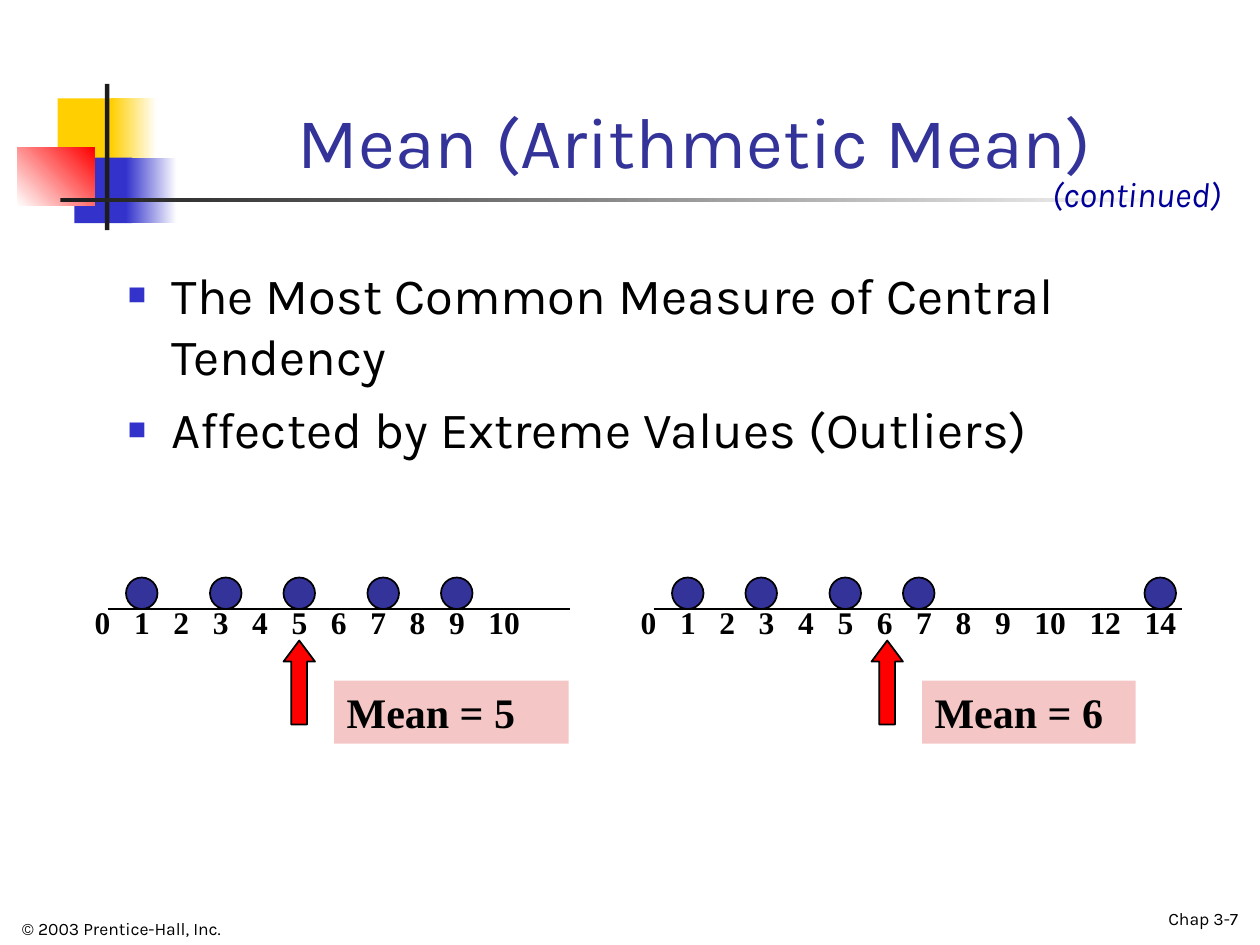
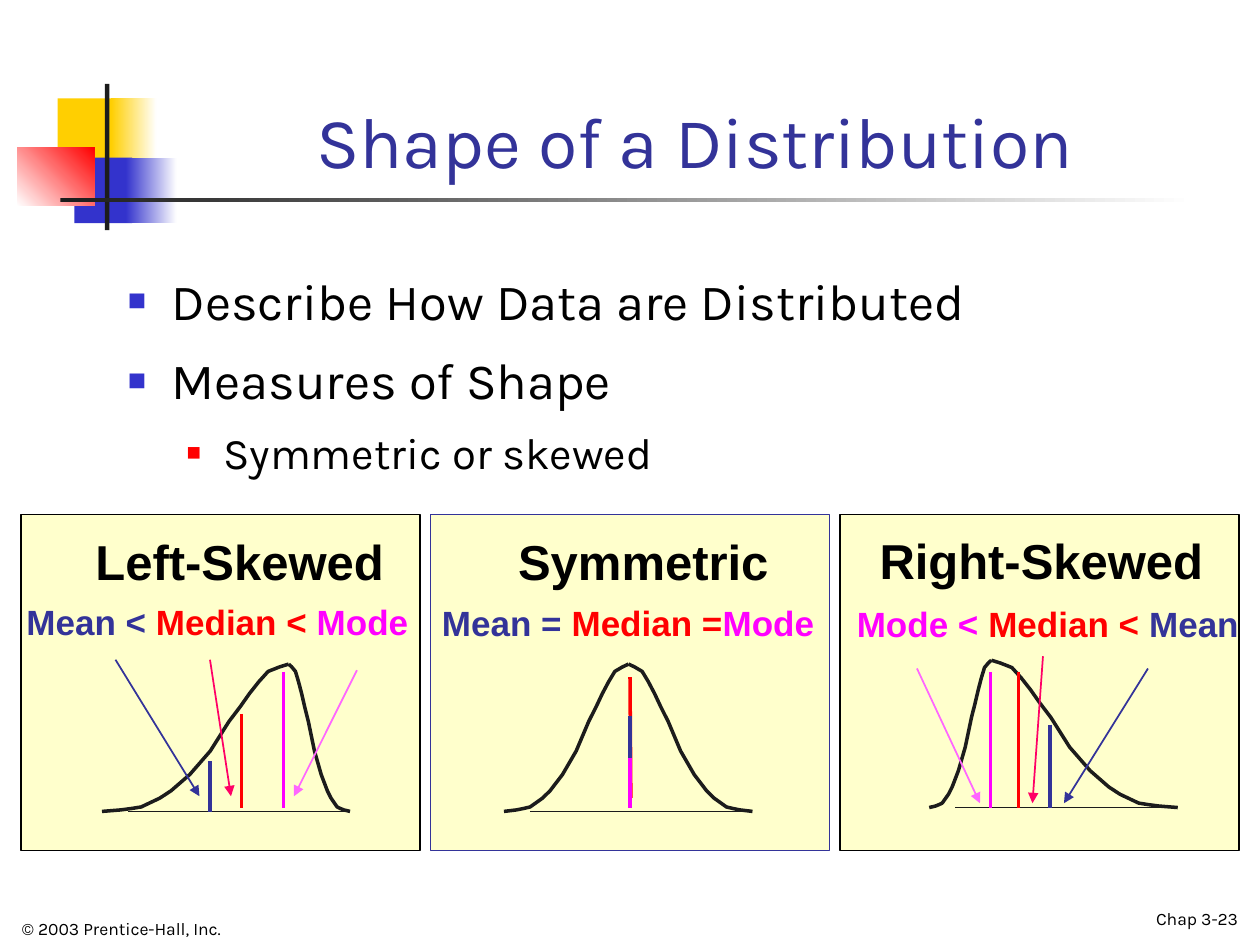
from lxml.etree import SubElement
from pptx import Presentation
from pptx.dml.color import RGBColor
from pptx.enum.shapes import MSO_CONNECTOR, MSO_SHAPE
from pptx.enum.text import MSO_ANCHOR, PP_ALIGN
from pptx.oxml.ns import qn
from pptx.util import Pt

BLACK = RGBColor(0x00, 0x00, 0x00)
WHITE = RGBColor(0xFF, 0xFF, 0xFF)
INK = RGBColor(0x1C, 0x1C, 0x1C)
GOLD = RGBColor(0xFF, 0xCF, 0x01)
BLUE = RGBColor(0x33, 0x33, 0xCC)
NAVY = RGBColor(0x33, 0x33, 0x99)
DEEP = RGBColor(0x00, 0x00, 0x99)
RED = RGBColor(0xFF, 0x00, 0x00)
ROSE = RGBColor(0xFF, 0x00, 0x66)
PINK = RGBColor(0xFF, 0x66, 0xFF)
MAGENTA = RGBColor(0xFF, 0x00, 0xFF)
BLUSH = RGBColor(0xF4, 0xC7, 0xC6)
CREAM = RGBColor(0xFF, 0xFF, 0xCC)

SANS, SERIF, HEAD = "Karla", "Times New Roman", "Arial"
RECT = MSO_SHAPE.RECTANGLE
HALF = [(0, 0), (.1, .01), (.16, .02), (.21, .03), (.26, .06), (.31, .09),
        (.37, .14), (.47, .25), (.58, .41), (.68, .61), (.74, .71),
        (.79, .8), (.84, .88), (.89, .95), (.95, .98), (1, 1)]
RISE = 84.2


class Deck:
    """Holds the shared style and the current slide."""

    def __init__(self):
        self.deck = Presentation()
        self.deck.slide_width, self.deck.slide_height = Pt(720), Pt(540)

    def start(self, title, page):
        self.slide = self.deck.slides.add_slide(self.deck.slide_layouts[6])
        self.shapes = self.slide.shapes
        self.shape(RECT, 33, 56.2, 34.5, 37.5, GOLD)
        self.fade(63.5, 56.2, 26, 37.5, GOLD, WHITE)
        self.shape(RECT, 42.5, 90, 33, 37.5, BLUE)
        self.fade(72, 90, 29, 37.5, BLUE, WHITE)
        self.fade(10, 84.2, 44, 33.5, WHITE, RED, 45)
        self.shape(RECT, 60, 48, 2.5, 83.5, INK)
        self.fade(34.5, 113, 648, 2.5, INK, WHITE)
        low = MSO_ANCHOR.BOTTOM
        self.text(5.5, 504, 288, 36, "© 2003 Prentice-Hall, Inc.", 10,
                  anchor=low)
        self.text(564.5, 498, 150, 36.5, page, 10,
                  anchor=low, align=PP_ALIGN.RIGHT)
        self.text(90.5, 18, 613.5, 90, title, 41, color=NAVY,
                  anchor=low, align=PP_ALIGN.CENTER)

    def shape(self, kind, x, y, w, h, fill, line=None, width=1):
        shape = self.shapes.add_shape(kind, Pt(x), Pt(y), Pt(w), Pt(h))
        shape.shadow.inherit = False
        shape.fill.solid()
        shape.fill.fore_color.rgb = fill
        if line is None:
            shape.line.fill.background()
        else:
            shape.line.color.rgb = line
            shape.line.width = Pt(width)
        return shape

    def fade(self, x, y, w, h, first, last, angle=0):
        fill = self.shape(RECT, x, y, w, h, first).fill
        fill.gradient()
        fill.gradient_angle = angle
        for stop, color in zip(fill.gradient_stops, (first, last)):
            stop.color.rgb = color

    def style(self, para, size, face, color=None, bold=False, slant=False):
        font = para.font
        font.size, font.name = Pt(size), face
        font.bold, font.italic = bold, slant
        if color is not None:
            font.color.rgb = color

    def text(self, x, y, w, h, text, size, face=SANS, color=BLACK, bold=False,
             slant=False, align=PP_ALIGN.LEFT, anchor=MSO_ANCHOR.TOP, tabs=()):
        box = self.shapes.add_textbox(Pt(x), Pt(y), Pt(w), Pt(h))
        frame = box.text_frame
        frame.word_wrap, frame.vertical_anchor = True, anchor
        para = frame.paragraphs[0]
        para.alignment = align
        if tabs:
            stops = SubElement(para._p.get_or_add_pPr(), qn("a:tabLst"))
            for tab in tabs:
                SubElement(stops, qn("a:tab"), pos=str(Pt(tab)), algn="l")
        if isinstance(text, str):
            para.add_run().text = text
            self.style(para, size, face, color, bold, slant)
        else:
            for part, tint in text:
                run = para.add_run()
                run.text = part
                run.font.color.rgb = tint
            self.style(para, size, face, None, bold, slant)
        return box

    def body(self, items, space=None):
        box = self.shapes.add_textbox(Pt(66), Pt(147), Pt(636), Pt(357))
        frame = box.text_frame
        frame.word_wrap = True
        looks = [(25, 25, 29, 7.3, BLUE, 60), (54.5, 21, 25, 6.2, RED, 55)]
        for rank, (level, text) in enumerate(items):
            left, hang, size, gap, tint, scale = looks[level]
            para = frame.add_paragraph() if rank else frame.paragraphs[0]
            para.add_run().text = text
            para.level = level
            if space:
                para.line_spacing = space
            if rank:
                para.space_before = Pt(gap)
            props = para._p.get_or_add_pPr()
            props.set("marL", str(Pt(left)))
            props.set("indent", str(-Pt(hang)))
            color = SubElement(props, qn("a:buClr"))
            SubElement(color, qn("a:srgbClr"), val=str(tint))
            SubElement(props, qn("a:buSzPct"), val=str(scale * 1000))
            SubElement(props, qn("a:buFont"), typeface=HEAD)
            SubElement(props, qn("a:buChar"), char="■")
            self.style(para, size, SANS, BLACK)

    def line(self, x1, y1, x2, y2, color, width=1, arrow=False):
        line = self.shapes.add_connector(
            MSO_CONNECTOR.STRAIGHT, Pt(x1), Pt(y1), Pt(x2), Pt(y2))
        line.line.color.rgb = color
        line.line.width = Pt(width)
        props = line._element.spPr
        if arrow:
            SubElement(props.find(qn("a:ln")), qn("a:tailEnd"), type="triangle")
        SubElement(props, qn("a:effectLst"))

    def curve(self, left, peak, right, base):
        for foot in (left, right):
            spots = [(Pt(foot + u * (peak - foot)), Pt(base - v * RISE))
                     for u, v in HALF]
            pen = self.shapes.build_freeform(*spots[0], scale=1.0)
            pen.add_line_segments(spots[1:], close=False)
            flank = pen.convert_to_shape()
            flank.shadow.inherit = False
            flank.fill.background()
            flank.line.color.rgb = INK
            flank.line.width = Pt(2)
        self.line(left + 15, base, right - 1.5, base, INK)

    def scale(self, x, length, ticks, dots, mean, center, width):
        self.line(x, 348, x + length, 348, BLACK)
        tabs, place = [], 0
        for tick in ticks[:-1]:
            place += 9 * len(str(tick)) + 13.5
            tabs.append(place)
        self.text(x - 14.5, 341, length + 50, 29, "\t".join(map(str, ticks)),
                  18, SERIF, bold=True, tabs=tabs)
        for dot in dots:
            self.shape(MSO_SHAPE.OVAL, x + dot, 330, 18, 18, NAVY, BLACK)
        arrow = self.shape(MSO_SHAPE.UP_ARROW, center - 9, 366, 18, 48,
                           RED, BLACK)
        arrow.adjustments[0], arrow.adjustments[1] = .5, .67
        box = self.text(center + 20, 389, width, 36, f"Mean = {mean}",
                        24, SERIF, bold=True)
        box.fill.solid()
        box.fill.fore_color.rgb = BLUSH

    def panel(self, rank, edge, head, label, curve, bars, arrows):
        self.shape(RECT, 12 + 234 * rank, 294, 228, 192, CREAM, edge, .75)
        self.curve(*curve)
        for x1, y1, x2, y2, color in bars:
            self.line(x1, y1, x2, y2, color, 2)
        for x1, y1, x2, y2, color in arrows:
            self.line(x1, y1, x2, y2, color, arrow=True)
        for (x, y, w, text), h, size in ((head, 40, 28), (label, 31, 20)):
            self.text(x, y, w, h, text, size, HEAD, bold=True)


def main():
    deck = Deck()
    deck.start("Mean (Arithmetic Mean)", "Chap 3-7")
    deck.body([(0, "The Most Common Measure of Central Tendency"),
               (0, "Affected by Extreme Values (Outliers)")])
    deck.text(594, 95, 126, 32, "(continued)", 20, color=DEEP, slant=True)
    deck.scale(61.5, 264, list(range(11)),
               (10.5, 58.5, 100.5, 148.5, 190.5), 5, 171, 134)
    deck.scale(373.5, 302, [*range(11), 12, 14],
               (10.5, 52.5, 100.5, 142.5, 280.5), 6, 507, 122)

    deck.start("Shape of a Distribution", "Chap 3-23")
    deck.body([(0, "Describe How Data are Distributed"),
               (0, "Measures of Shape"),
               (1, "Symmetric or skewed")], 1.1)
    deck.panel(
        0, BLACK, (47.5, 300, 185, "Left-Skewed"),
        (8, 339.5, 237,
         [("Mean <", NAVY), (" Median <", RED), (" Mode", MAGENTA)]),
        (58.3, 165, 200, 463.7),
        [(162, 384, 162, 462, MAGENTA), (138, 408, 138, 462, RED),
         (120, 435, 120, 464, NAVY)],
        [(204, 383, 168, 455, PINK), (120, 377, 132, 455, ROSE),
         (66, 377, 114, 455, NAVY)])
    deck.panel(
        1, NAVY, (289, 300, 165, "Symmetric"),
        (245.5, 340, 232,
         [("Mean =", NAVY), (" Median =", RED), ("Mode", MAGENTA)]),
        (288, 359.2, 430, 463.7),
        [(360, 387, 360.5, 456, RED), (360, 409, 360, 450, NAVY),
         (360, 433, 360, 462, MAGENTA)], [])
    deck.panel(
        2, BLACK, (495.5, 299.5, 206, "Right-Skewed"),
        (482.5, 341, 237,
         [("Mode <", MAGENTA), (" Median < ", RED), ("Mean", NAVY)]),
        (531, 566.5, 673, 461.5),
        [(566, 384, 566, 462, MAGENTA), (582, 384, 582, 462, RED),
         (600, 414, 600, 462, NAVY)],
        [(524, 382, 560, 459, PINK), (596, 375, 590, 459, ROSE),
         (656, 382, 608, 459, NAVY)])
    deck.deck.save("out.pptx")


if __name__ == "__main__":
    main()
